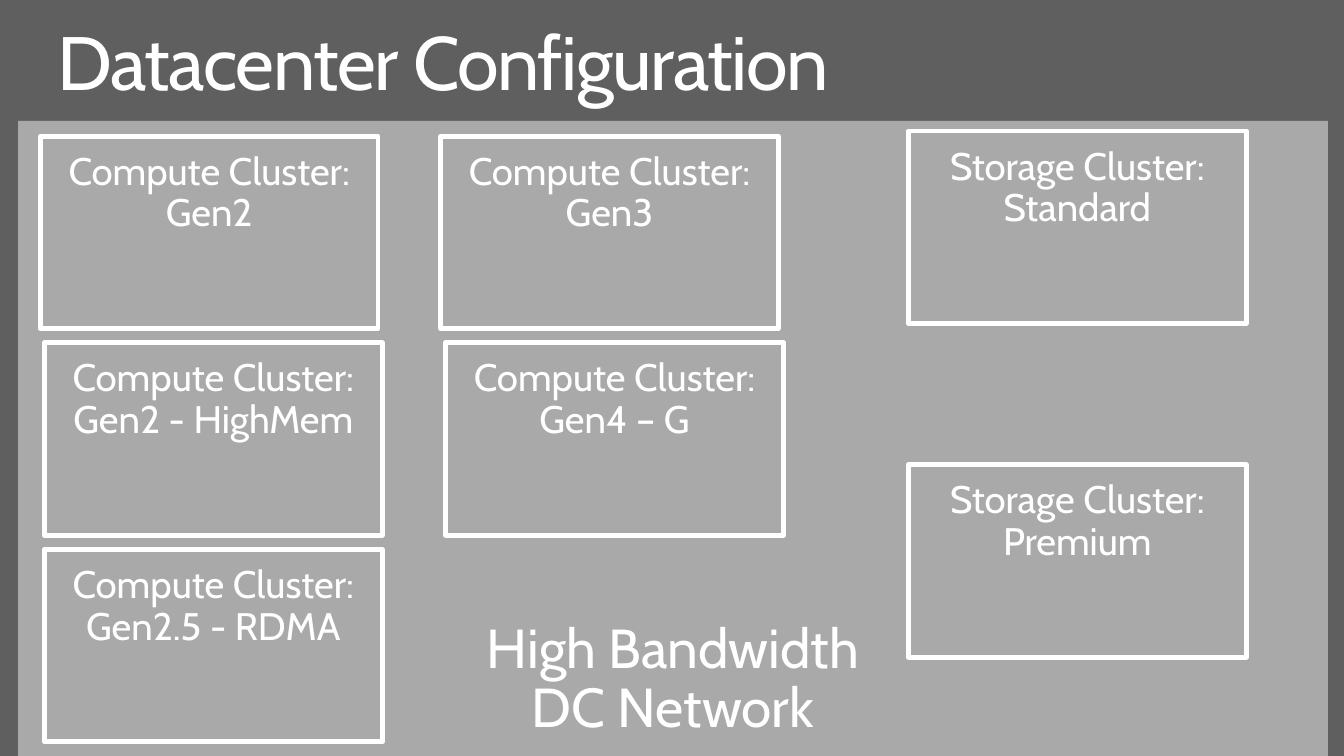
from pptx import Presentation
from pptx.dml.color import RGBColor
from pptx.enum.shapes import MSO_SHAPE
from pptx.enum.text import MSO_ANCHOR, PP_ALIGN
from pptx.oxml.ns import qn
from pptx.util import Pt

RECTANGLE = MSO_SHAPE.RECTANGLE
TOP, BOTTOM = MSO_ANCHOR.TOP, MSO_ANCHOR.BOTTOM
LEFT, CENTER = PP_ALIGN.LEFT, PP_ALIGN.CENTER

# Content
TITLE = "Datacenter Configuration"
NETWORK = ["High Bandwidth", "DC Network"]
CLUSTERS = [  # kind, name, left, top
    ("Compute", "Gen2", 40, 135),
    ("Compute", "Gen3", 437, 135),
    ("Compute", "Gen4 – G", 442, 340),
    ("Compute", "Gen2 - HighMem", 44, 340),
    ("Compute", "Gen2.5 - RDMA", 44, 545),
    ("Storage", "Standard", 901, 130),
    ("Storage", "Premium", 901, 461),
]

# Format, lengths in px at 100 to the inch
PX = 9144
PAGE_SIZE = (1333, 750)
TITLE_AREA = (57, 25, 1220, 82)
NETWORK_AREA = (18, 120, 1299, 630)
CLUSTER_SIZE = (335, 191)
PADDING = (20, 16)
FONT = "Cabin"
COLORS = {"page": "5F5F5F", "network": "A9A9A9", "white": "FFFFFF"}


def color(name):
    return RGBColor.from_string(COLORS[name])


def emu(lengths):
    return [length * PX for length in lengths]


def write(box, lines, size, align=CENTER, anchor=TOP, padding=PADDING):
    frame = box.text_frame
    across, down = emu(padding)
    settings = {
        "word_wrap": True, "vertical_anchor": anchor,
        "margin_left": across, "margin_right": across,
        "margin_top": down, "margin_bottom": down,
    }
    for name, value in settings.items():
        setattr(frame, name, value)
    for index, line in enumerate(lines):
        para = frame.add_paragraph() if index else frame.paragraphs[0]
        para.alignment, para.line_spacing = align, 0.9
        span = para.add_run()
        span.text = line
        span.font.name, span.font.size = FONT, Pt(size)
        span.font.color.rgb = color("white")


def add_rectangle(page, area):
    box = page.shapes.add_shape(RECTANGLE, *emu(area))
    box.shadow.inherit = False
    return box


def main():
    deck = Presentation()
    deck.slide_width, deck.slide_height = emu(PAGE_SIZE)
    page = deck.slides.add_slide(deck.slide_layouts[6])
    page.background.fill.solid()
    page.background.fill.fore_color.rgb = color("page")

    # Network panel
    panel = add_rectangle(page, NETWORK_AREA)
    panel.fill.solid()
    panel.fill.fore_color.rgb = color("network")
    panel.line.fill.background()
    write(panel, NETWORK, 39.2, anchor=BOTTOM)

    # Title with tightened letters
    title = page.shapes.add_textbox(*emu(TITLE_AREA))
    write(title, [TITLE], 54, align=LEFT, padding=(0, 0))
    for properties in title.element.iter(qn("a:rPr")):
        properties.set("spc", "-100")

    # Clusters
    for kind, name, left, top in CLUSTERS:
        cluster = add_rectangle(page, (left, top, *CLUSTER_SIZE))
        cluster.fill.background()
        cluster.line.color.rgb = color("white")
        cluster.line.width = Pt(3.5)
        write(cluster, [f"{kind} Cluster:", name], 27.4)

    deck.save("out.pptx")


if __name__ == "__main__":
    main()
